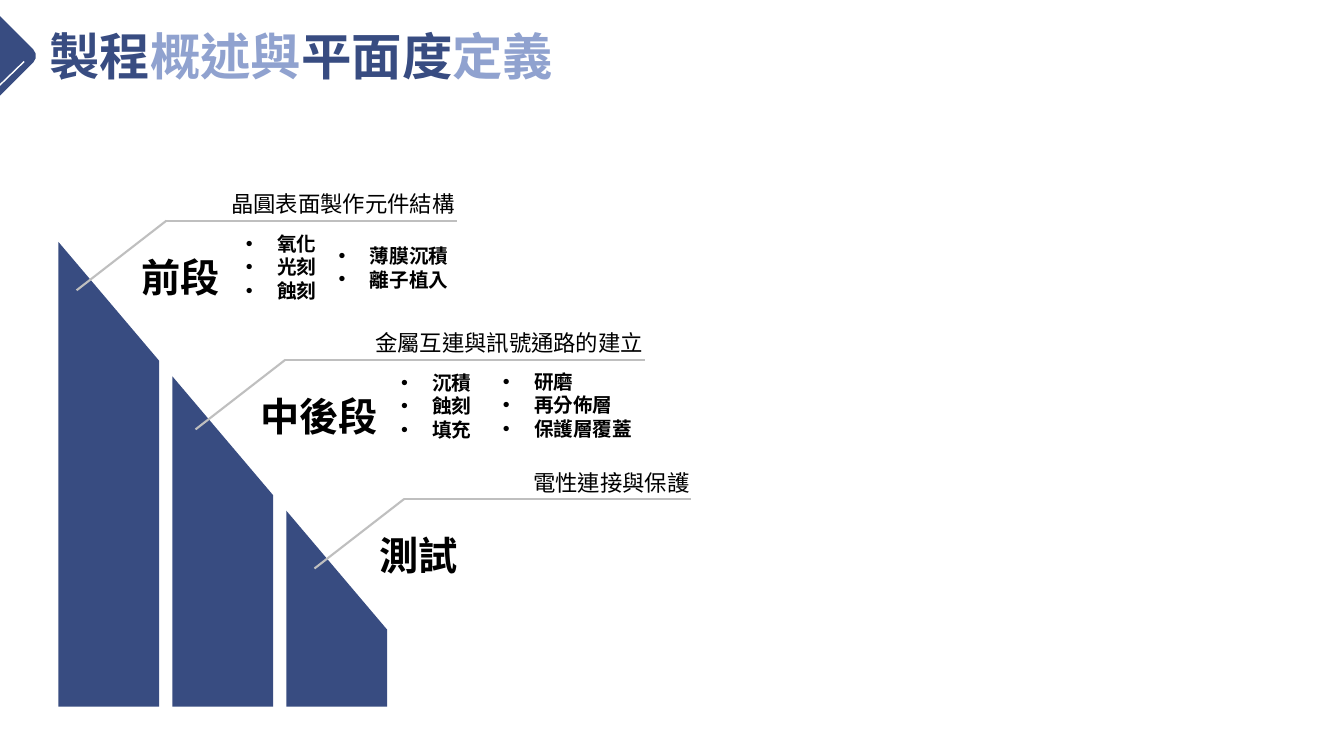
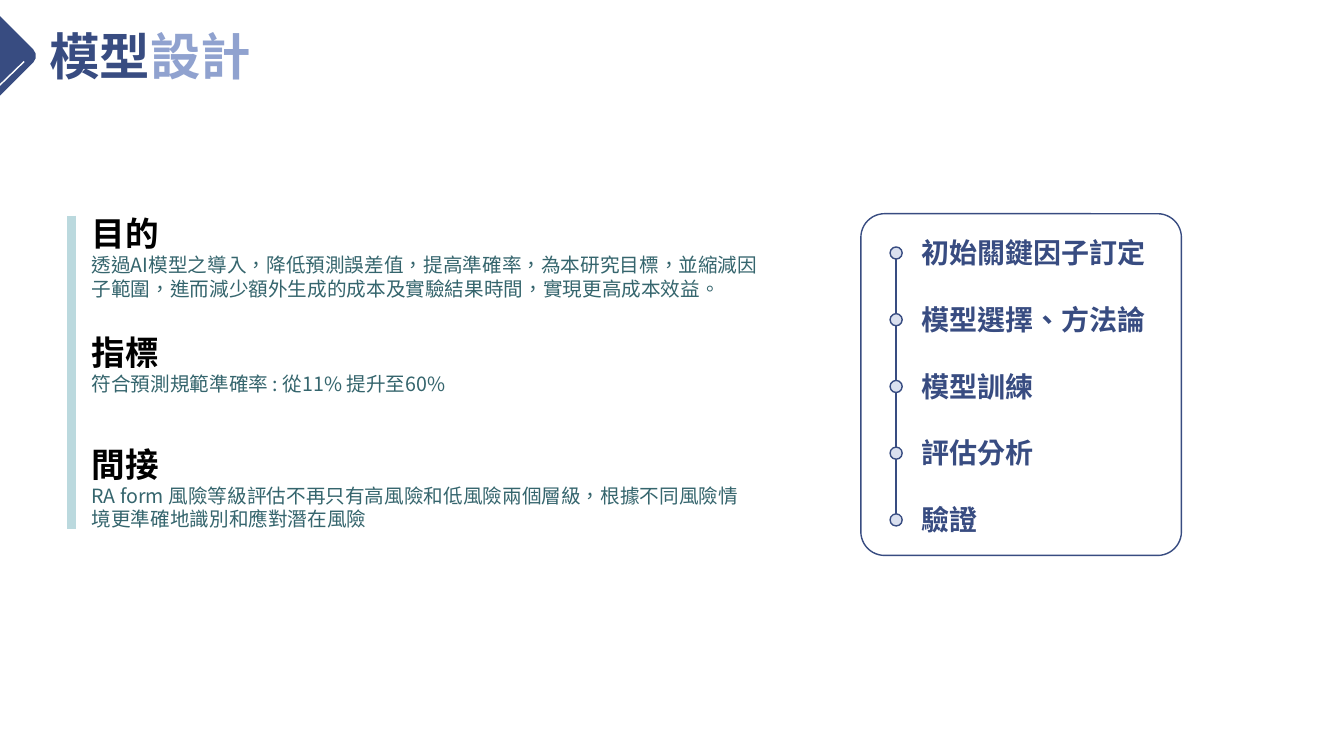
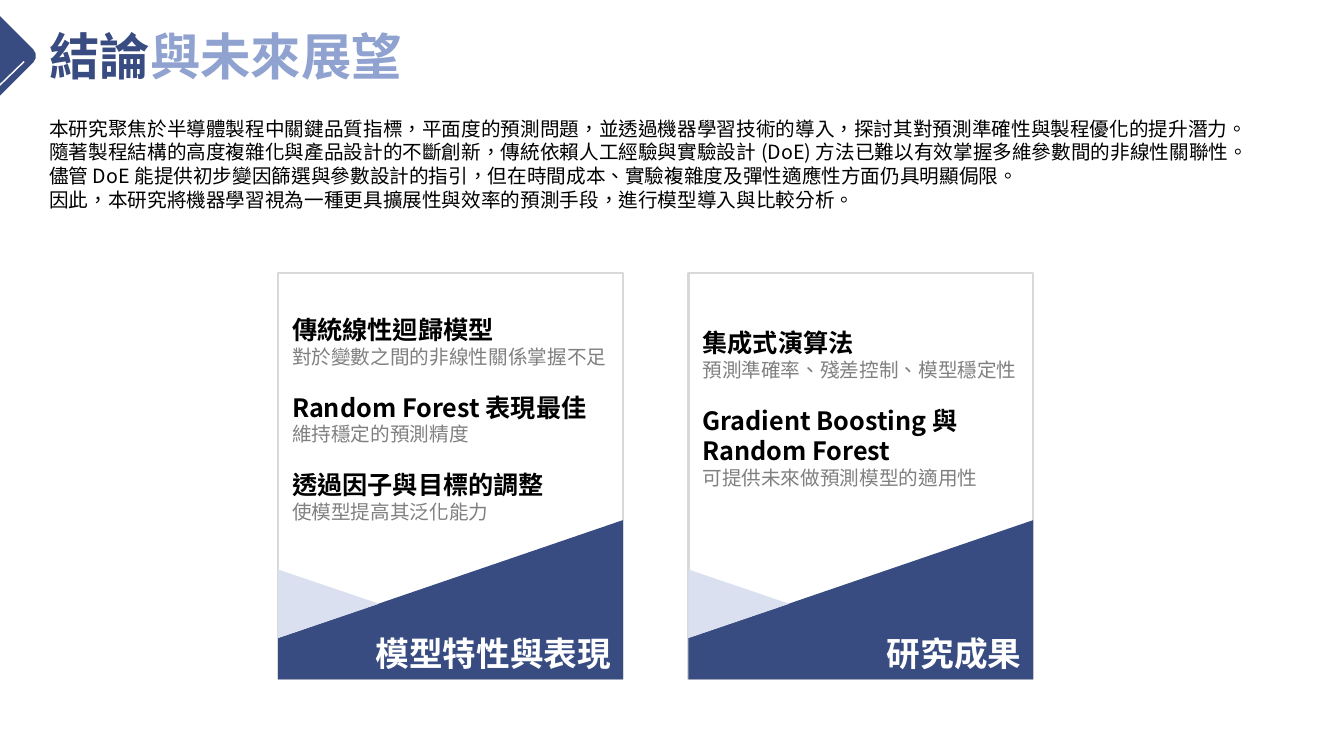
from lxml.etree import SubElement
from pptx import Presentation
from pptx.dml.color import RGBColor
from pptx.enum.shapes import MSO_CONNECTOR, MSO_SHAPE
from pptx.enum.text import MSO_AUTO_SIZE, PP_ALIGN
from pptx.oxml.ns import qn
from pptx.util import Inches, Pt

COLS, ROWS = 133.33, 75
FONT = "Noto Sans CJK SC"
HUES = {
    "navy": "384C81", "sky": "90A2CF", "pale": "DAE0EF", "teal": "35656D",
    "mint": "BBD9DE", "rule": "BFBFBF", "edge": "D9D9D9", "gray": "808080",
    "black": "000000", "white": "FFFFFF",
}


def cell(num):
    return Inches(num / 10)


def hue(name):
    return RGBColor.from_string(HUES[name])


class Deck:
    """Hold the deck style and the current slide, measured in grid cells."""

    def __init__(self):
        self.file = Presentation()
        self.file.slide_width, self.file.slide_height = cell(COLS), cell(ROWS)
        self.slide = None

    def page(self, *parts):
        self.slide = self.file.slides.add_slide(self.file.slide_layouts[6])
        frame = self.text(3.9, 2, ["".join(parts)], 36, bold=True)
        para = frame.paragraphs[0]
        para.text = ""
        for num, part in enumerate(parts):
            run = para.add_run()
            run.text = part
            self.style(run, 36, ("navy", "sky")[num % 2], True)
        mark = self.shape(MSO_SHAPE.ROUNDED_RECTANGLE, -5.6, 1.6, 7.9, 7.9, "navy", curve=0.113)
        mark.rotation = 45
        self.line((2.4, 6.1), (-0.7, 9.1), "white", 1)

    def style(self, run, size, color, bold=False):
        font = run.font
        font.size, font.bold = Pt(size), bold
        font.color.rgb = hue(color)
        font.name = FONT
        props = run._r.get_or_add_rPr()
        props.set("lang", "zh-TW")
        SubElement(props, qn("a:ea")).set("typeface", FONT)

    def text(self, x, y, lines, size, color="black", bold=False, width=None,
             wrap=False, align=PP_ALIGN.LEFT, right=False, dots=False):
        wide = width or max(map(len, lines)) * size / 7.2 + 2.4 + 3.1 * dots
        high = len(lines) * size / 6 + 1
        left = x - wide if right else x
        box = self.slide.shapes.add_textbox(cell(left), cell(y), cell(wide), cell(high))
        frame = box.text_frame
        frame.text = "\n".join(lines)
        frame.word_wrap = wrap
        frame.auto_size = MSO_AUTO_SIZE.SHAPE_TO_FIT_TEXT
        for para in frame.paragraphs:
            para.alignment = PP_ALIGN.RIGHT if right else align
            if dots:
                self.bullet(para)
            for run in para.runs:
                self.style(run, size, color, bold)
        return frame

    def bullet(self, para):
        props = para._p.get_or_add_pPr()
        props.set("marL", str(cell(3.1)))
        props.set("indent", str(-cell(3.1)))
        SubElement(props, qn("a:buFont")).set("typeface", "Arial")
        SubElement(props, qn("a:buChar")).set("char", "•")

    def paint(self, item, fill, edge, thick):
        item.shadow.inherit = False
        if fill:
            item.fill.solid()
            item.fill.fore_color.rgb = hue(fill)
        else:
            item.fill.background()
        if edge:
            item.line.color.rgb = hue(edge)
            item.line.width = Pt(thick)
        else:
            item.line.fill.background()
        return item

    def shape(self, kind, x, y, w, h, fill=None, edge=None, thick=1, curve=None):
        item = self.slide.shapes.add_shape(kind, cell(x), cell(y), cell(w), cell(h))
        if curve is not None:
            item.adjustments[0] = curve
        return self.paint(item, fill, edge, thick)

    def poly(self, spots, fill):
        spots = [(cell(x), cell(y)) for x, y in spots]
        path = self.slide.shapes.build_freeform(*spots[0])
        path.add_line_segments(spots[1:], close=True)
        return self.paint(path.convert_to_shape(), fill, None, 0)

    def line(self, start, end, color, thick):
        ends = [cell(num) for num in (*start, *end)]
        item = self.slide.shapes.add_connector(MSO_CONNECTOR.STRAIGHT, *ends)
        item.line.color.rgb = hue(color)
        item.line.width = Pt(thick)
        SubElement(item._element.spPr, qn("a:effectLst"))

    def stage(self, num, label, note, end, lists):
        left, base = 5.8 + 11.3 * num, 70.1
        top, drop = 24 + 13.33 * num, 11.8
        self.poly([(left, top), (left + 10, top + drop), (left + 10, base), (left, base)], "navy")
        x, y = 16.5 + 11.8 * num, 21.9 + 13.8 * num
        self.line((x - 8.9, y + 6.9), (x, y), "rule", 1.5)
        self.line((x, y), (end, y), "rule", 1.5)
        self.text(end + 0.8, y - 3.5, [note], 16, right=True)
        self.text(x - 3.7, y + 2.7, [label], 28, bold=True, align=PP_ALIGN.CENTER)
        for spot, drop, items in lists:
            self.text(spot, y + drop, items, 14, bold=True, dots=True)

    def card(self, x, name, y, points):
        top, wide, base = 27.1, 34.2, 67.4
        self.shape(MSO_SHAPE.RECTANGLE, x, top, wide, base - top, edge="edge", thick=1.5)
        self.poly([(x, 63.3), (x + wide, 51.6), (x + wide, base), (x, base)], "navy")
        self.poly([(x, 56.5), (x + 10, 59.9), (x, 63.3)], "pale")
        self.text(x + wide - 0.2, 62.3, [name], 24, "white", True, right=True)
        lines = [line for heads, note in points for line in (*heads, note)]
        paras = iter(self.text(x + 0.4, y, lines, 14, "gray", width=33.4).paragraphs)
        for num, (heads, note) in enumerate(points):
            for row, head in enumerate(heads):
                para = next(paras)
                if num and not row:
                    para.space_before = Pt(17)
                para.text = head
                self.style(para.runs[0], 18, "black", True)
            next(paras)


def main():
    deck = Deck()

    deck.page("製程", "概述與", "平面度", "定義")
    stages = [
        ("前段", "晶圓表面製作元件結構", 45.3,
         [(23.4, 0.6, ["氧化", "光刻", "蝕刻"]), (32.6, 1.8, ["薄膜沉積", "離子植入"])]),
        ("中後段", "金屬互連與訊號通路的建立", 64,
         [(38.8, 0.6, ["沉積", "蝕刻", "填充"]), (48.9, 0.5, ["研磨", "再分佈層", "保護層覆蓋"])]),
        ("測試", "電性連接與保護", 68.6, []),
    ]
    for num, stage in enumerate(stages):
        deck.stage(num, *stage)

    deck.page("模型", "設計")
    goals = [
        (20.6, 68.1, "目的", "透過AI模型之導入，降低預測誤差值，提高準確率，為本研究目標，並縮減因子範圍，"
         "進而減少額外生成的成本及實驗結果時間，實現更高成本效益。"),
        (32.4, 38.2, "指標", "符合預測規範準確率 : 從11% 提升至60%"),
        (43.5, 66.5, "間接", "RA form 風險等級評估不再只有高風險和低風險兩個層級，"
         "根據不同風險情境更準確地識別和應對潛在風險"),
    ]
    for y, wide, head, body in goals:
        deck.text(8.1, y, [head], 24, bold=True)
        deck.text(8.1, y + 4, [body], 14, "teal", width=wide, wrap=True)
    deck.line((7.1, 21.4), (7.1, 52.5), "mint", 6)

    deck.shape(MSO_SHAPE.ROUNDED_RECTANGLE, 85.4, 21.2, 31.8, 33.9, edge="navy", curve=0.074)
    mid, first, gap, size = 88.9, 25.1, 6.62, 1.2
    steps = ["初始關鍵因子訂定", "模型選擇、方法論", "模型訓練", "評估分析", "驗證"]
    deck.line((mid, first), (mid, first + gap * (len(steps) - 1)), "navy", 1.5)
    for num, step in enumerate(steps):
        y = first + gap * num
        deck.shape(MSO_SHAPE.FLOWCHART_CONNECTOR, mid - size / 2, y - size / 2,
                   size, size, "pale", "navy")
        deck.text(90.4, y - 2.2, [step], 20, "navy", True)

    deck.page("結論", "與未來展望")
    deck.text(3.9, 11.1, [
        "本研究聚焦於半導體製程中關鍵品質指標，平面度的預測問題，並透過機器學習技術的導入，探討其對預測準確性與製程優化的提升潛力。",
        "隨著製程結構的高度複雜化與產品設計的不斷創新，傳統依賴人工經驗與實驗設計 (DoE) 方法已難以有效掌握多維參數間的非線性關聯性。",
        "儘管 DoE 能提供初步變因篩選與參數設計的指引，但在時間成本、實驗複雜度及彈性適應性方面仍具明顯侷限。",
        "因此，本研究將機器學習視為一種更具擴展性與效率的預測手段，進行模型導入與比較分析。",
    ], 14, width=121.8)
    deck.card(27.6, "模型特性與表現", 30.7, [
        (["傳統線性迴歸模型"], "對於變數之間的非線性關係掌握不足"),
        (["Random Forest 表現最佳"], "維持穩定的預測精度"),
        (["透過因子與目標的調整"], "使模型提高其泛化能力"),
    ])
    deck.card(68.3, "研究成果", 32, [
        (["集成式演算法"], "預測準確率、殘差控制、模型穩定性"),
        (["Gradient Boosting 與", "Random Forest"], "可提供未來做預測模型的適用性"),
    ])

    deck.file.save("out.pptx")


if __name__ == "__main__":
    main()
